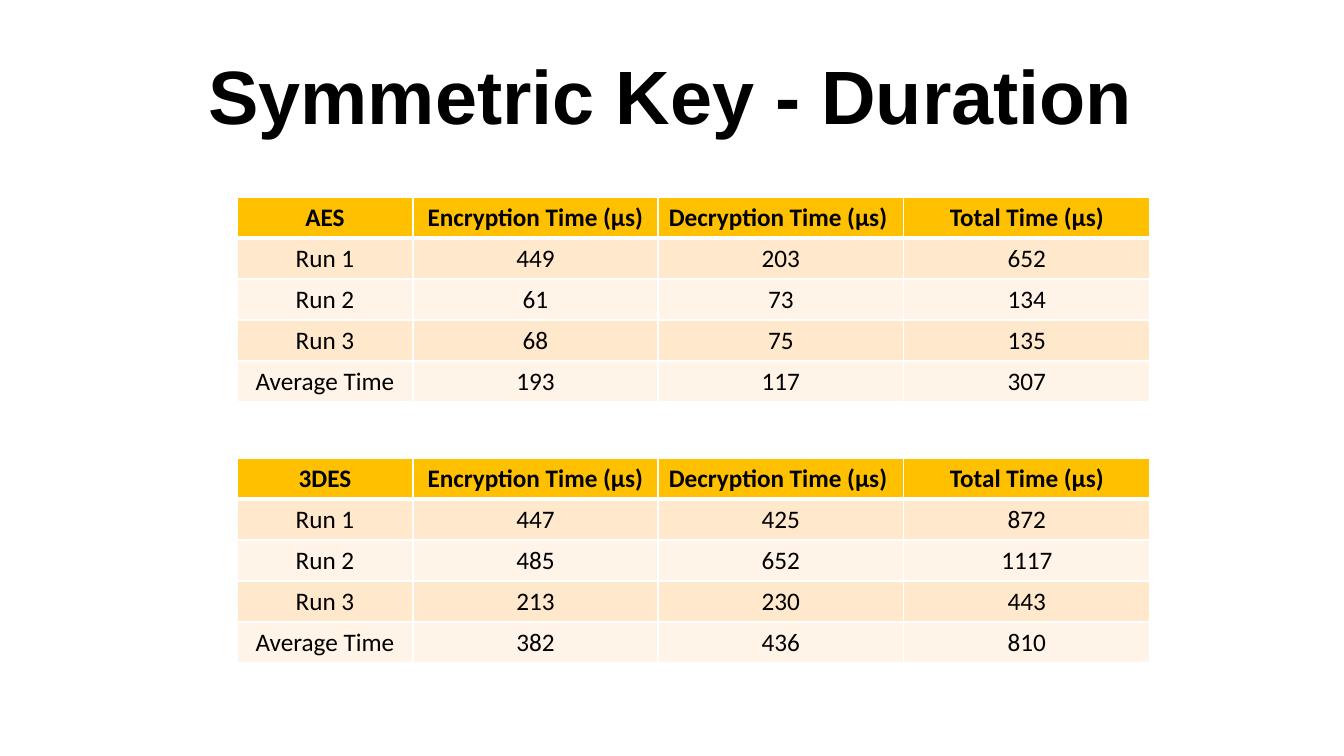
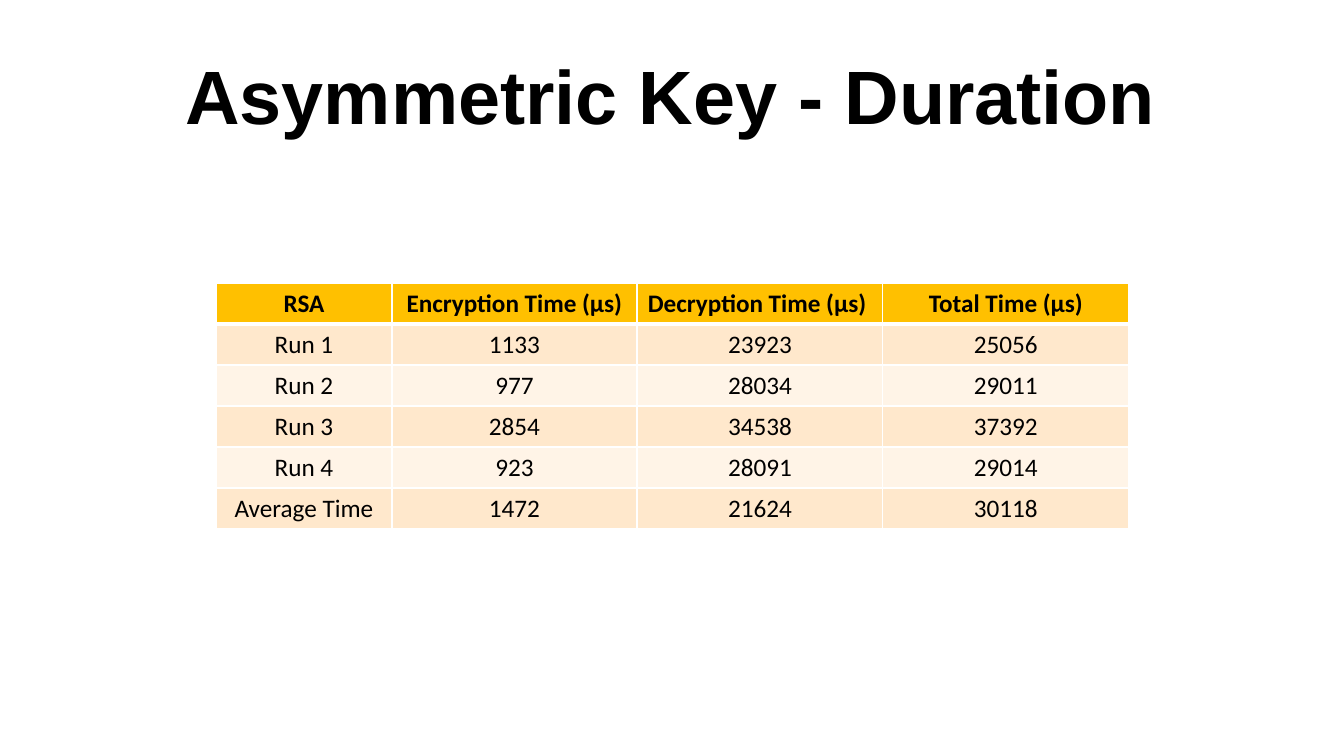
from lxml.etree import SubElement
from pptx import Presentation
from pptx.dml.color import RGBColor
from pptx.enum.text import MSO_ANCHOR, MSO_AUTO_SIZE, PP_ALIGN
from pptx.oxml.ns import qn
from pptx.util import Emu, Pt

BLACK, WHITE = "000000", "FFFFFF"
HEADER_FILL = "FFC000"
BAND_FILLS = ("FFF4E7", "FFE8CC")  # even rows, odd rows
TITLE_FONT, TABLE_FONT = "Arial", "Calibri"

SLIDE_W, SLIDE_H = 1344, 756
TITLE_BOX = (0, 15, 1341, 170)
COL_WIDTHS = (176, 245, 246, 246)
ROW_H = 41
TIME_HEADINGS = ("Encryption Time (μs)", "Decryption Time (μs) ", "Total Time (μs)")

AES = (("Run 1", 449, 203, 652),
       ("Run 2", 61, 73, 134),
       ("Run 3", 68, 75, 135),
       ("Average Time", 193, 117, 307))
TRIPLE_DES = (("Run 1", 447, 425, 872),
              ("Run 2", 485, 652, 1117),
              ("Run 3", 213, 230, 443),
              ("Average Time", 382, 436, 810))
RSA = (("Run 1", 1133, 23923, 25056),
       ("Run 2", 977, 28034, 29011),
       ("Run 3", 2854, 34538, 37392),
       ("Run 4", 923, 28091, 29014),
       ("Average Time", 1472, 21624, 30118))


def px(n):
    return Emu(round(n * 914400 / 100.8))


def color(hex_value):
    return RGBColor.from_string(hex_value)


def style_text(tf, font, size, bold):
    p = tf.paragraphs[0]
    p.alignment = PP_ALIGN.CENTER
    for r in p.runs:
        r.font.name = font
        r.font.size = Pt(size)
        r.font.bold = bold
        r.font.color.rgb = color(BLACK)


def add_title(slide, text):
    title = slide.shapes.title
    title.left, title.top, title.width, title.height = map(px, TITLE_BOX)
    tf = title.text_frame
    tf.text = text
    tf.word_wrap = True
    tf.auto_size = MSO_AUTO_SIZE.NONE
    tf.vertical_anchor = MSO_ANCHOR.MIDDLE
    tf.paragraphs[0].line_spacing = 0.9
    style_text(tf, TITLE_FONT, 54, True)


def set_borders(cell, top, bottom):
    """Draw white cell borders; top and bottom are widths in points."""
    tc_pr = cell._tc.get_or_add_tcPr()
    for side, width in (("L", 1), ("R", 1), ("T", top), ("B", bottom)):
        ln = SubElement(tc_pr, qn(f"a:ln{side}"), w=str(Pt(width)))
        fill = SubElement(ln, qn("a:solidFill"))
        SubElement(fill, qn("a:srgbClr"), val=WHITE)


def add_timing_table(slide, left, top, cipher, runs):
    rows = ((cipher, *TIME_HEADINGS), *runs)
    frame = slide.shapes.add_table(len(rows), len(COL_WIDTHS), px(left), px(top),
                                   px(sum(COL_WIDTHS)), px(ROW_H * len(rows)))
    table = frame.table
    table.horz_banding = False
    for column, width in zip(table.columns, COL_WIDTHS):
        column.width = px(width)
    for i, values in enumerate(rows):
        table.rows[i].height = px(ROW_H)
        is_header = i == 0
        for j, value in enumerate(values):
            cell = table.cell(i, j)
            cell.text_frame.text = str(value)
            style_text(cell.text_frame, TABLE_FONT, 18, is_header)
            set_borders(cell, top=3 if i == 1 else 1, bottom=3 if is_header else 1)
            cell.fill.solid()
            cell.fill.fore_color.rgb = color(HEADER_FILL if is_header else BAND_FILLS[i % 2])


def add_duration_slide(prs, title, tables):
    """Add a titled slide; each table is (left, top, cipher, runs)."""
    slide = prs.slides.add_slide(prs.slide_layouts[5])
    add_title(slide, title)
    for table in tables:
        add_timing_table(slide, *table)


def main():
    prs = Presentation()
    prs.slide_width, prs.slide_height = px(SLIDE_W), px(SLIDE_H)
    add_duration_slide(prs, "Symmetric Key - Duration",
                       [(237, 197, "AES", AES), (237, 458, "3DES", TRIPLE_DES)])
    add_duration_slide(prs, "Asymmetric Key - Duration", [(216, 283, "RSA", RSA)])
    prs.save("out.pptx")


if __name__ == "__main__":
    main()
